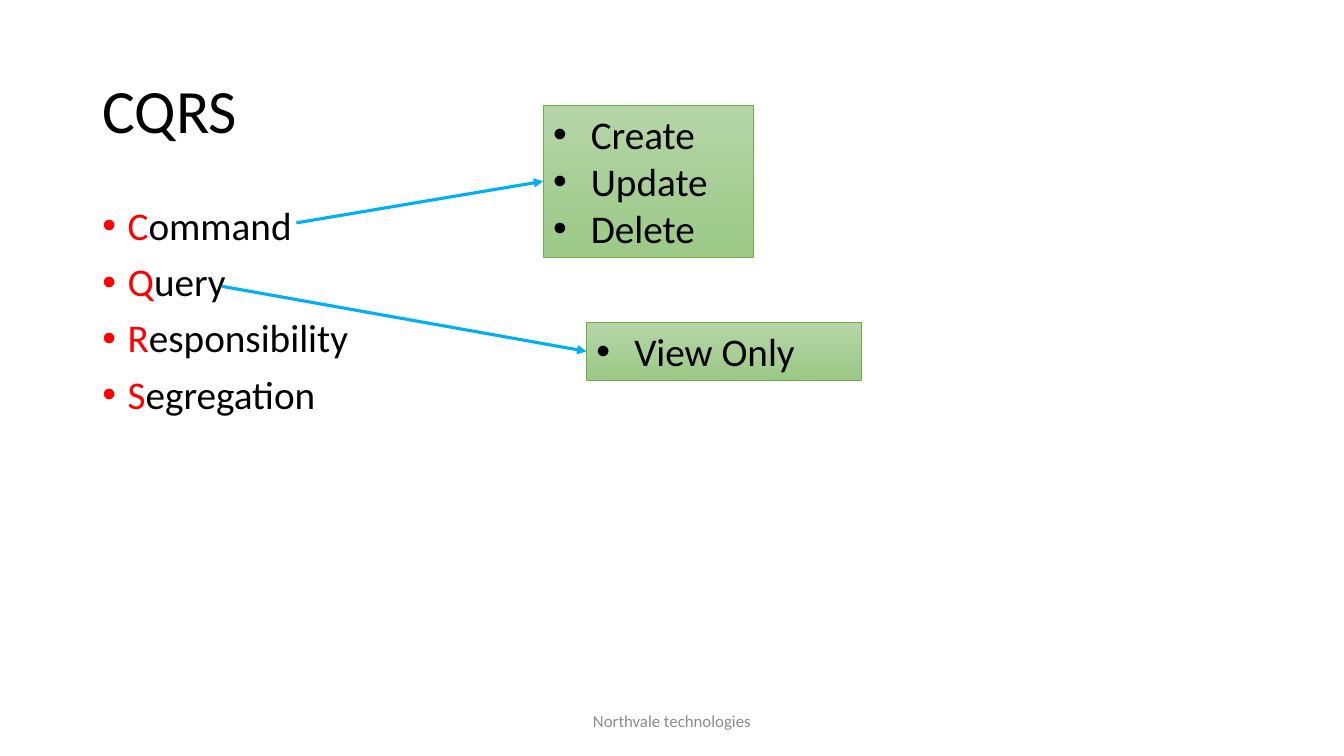
import pptx
import pptx.dml.color
import pptx.enum.shapes
import pptx.enum.text
import pptx.oxml.ns
import pptx.util
from lxml import etree

Pt = pptx.util.Pt
qn = pptx.oxml.ns.qn
RGBColor = pptx.dml.color.RGBColor
PP_ALIGN = pptx.enum.text.PP_ALIGN
MSO_ANCHOR = pptx.enum.text.MSO_ANCHOR
MSO_AUTO_SIZE = pptx.enum.text.MSO_AUTO_SIZE

BLACK = RGBColor(0x00, 0x00, 0x00)
RED = RGBColor(0xFF, 0x00, 0x00)
GREY = RGBColor(0x8C, 0x8C, 0x8C)
BLUE = RGBColor(0x00, 0xB0, 0xF0)
GREEN = RGBColor(0x70, 0xAD, 0x47)
GREEN_TOP = RGBColor(0xB5, 0xD5, 0xA7)
GREEN_BOTTOM = RGBColor(0x9C, 0xC9, 0x87)
FONT = "Calibri"


def place(sp, box):
    """Move a shape to a box of left, top, width and height in points."""
    sp.left, sp.top, sp.width, sp.height = (Pt(v) for v in box)


def style(font, size, color):
    """Set the face, size and colour of a font."""
    font.name, font.size, font.color.rgb = FONT, Pt(size), color


def add_bullet(p, indent):
    """Give a paragraph a round bullet with a hanging indent in points."""
    pPr = p._p.get_or_add_pPr()
    pPr.set("marL", str(Pt(indent)))
    pPr.set("indent", str(-Pt(indent)))
    etree.SubElement(pPr, qn("a:buFont"), typeface="Arial")
    etree.SubElement(pPr, qn("a:buChar"), char="•")


def add_title(s, box, text):
    """Fill the title placeholder."""
    sp = s.shapes.title
    place(sp, box)
    tf = sp.text_frame
    tf.text = text
    tf.auto_size = MSO_AUTO_SIZE.NONE
    tf.vertical_anchor = MSO_ANCHOR.MIDDLE
    p = tf.paragraphs[0]
    p.alignment = PP_ALIGN.LEFT
    p.line_spacing = 0.9
    style(p.runs[0].font, 44, BLACK)


def add_acronym_list(s, box, words):
    """List words with red initials in the body placeholder."""
    sp = s.placeholders[1]
    place(sp, box)
    tf = sp.text_frame
    tf.auto_size = MSO_AUTO_SIZE.NONE
    for i, word in enumerate(words):
        p = tf.add_paragraph() if i else tf.paragraphs[0]
        add_bullet(p, 18)
        p.line_spacing = 0.9
        p.space_before = Pt(10 if i else 0)
        for text, color in ((word[0], RED), (word[1:], BLACK)):
            r = p.add_run()
            r.text = text
            style(r.font, 28, color)


def add_action_box(s, box, actions):
    """Draw a green box of bulleted actions."""
    sp = s.shapes.add_shape(pptx.enum.shapes.MSO_SHAPE.RECTANGLE, 0, 0, 0, 0)
    place(sp, box)
    sp.shadow.inherit = False
    sp.fill.gradient()
    sp.fill.gradient_angle = 270
    for stop, color in zip(sp.fill.gradient_stops, (GREEN_TOP, GREEN_BOTTOM)):
        stop.color.rgb = color
    sp.line.color.rgb = GREEN
    sp.line.width = Pt(0.5)
    tf = sp.text_frame
    tf.text = "\n".join(actions)
    tf.word_wrap = True
    tf.vertical_anchor = MSO_ANCHOR.TOP
    for p in tf.paragraphs:
        p.alignment = PP_ALIGN.LEFT
        add_bullet(p, 27)
        style(p.runs[0].font, 28, BLACK)


def add_arrow(s, start, box):
    """Draw an arrow from a point to the middle of a box's left side."""
    left, top, _, height = box
    ends = (*start, left, top + height / 2)
    c = s.shapes.add_connector(
        pptx.enum.shapes.MSO_CONNECTOR.STRAIGHT, *(Pt(v) for v in ends))
    c.line.color.rgb = BLUE
    c.line.width = Pt(2.25)
    spPr = c.element.spPr
    etree.SubElement(spPr.find(qn("a:ln")), qn("a:tailEnd"), type="triangle")
    etree.SubElement(spPr, qn("a:effectLst"))


def add_footer(s, box, text):
    """Write the centred grey footer."""
    sp = s.shapes.add_textbox(*(Pt(v) for v in box))
    tf = sp.text_frame
    tf.text = text
    tf.word_wrap = True
    tf.vertical_anchor = MSO_ANCHOR.MIDDLE
    p = tf.paragraphs[0]
    p.alignment = PP_ALIGN.CENTER
    style(p.runs[0].font, 12, GREY)


def main():
    """Build the CQRS slide."""
    prs = pptx.Presentation()
    prs.slide_width, prs.slide_height = Pt(960), Pt(540)
    s = prs.slides.add_slide(prs.slide_layouts[1])
    add_title(s, (66, 28.8, 828, 104.4), "CQRS")
    add_acronym_list(s, (66, 143.8, 828, 342.6),
                     ("Command", "Query", "Responsibility", "Segregation"))
    add_footer(s, (318, 500.5, 324, 28.8), "Northvale technologies")
    for start, box, actions in (
        ((211.7, 159.2), (388, 75, 150, 109), ("Create", "Update", "Delete")),
        ((158.4, 204.5), (419, 230.4, 196.6, 41.2), ("View Only",)),
    ):
        add_action_box(s, box, actions)
        add_arrow(s, start, box)
    prs.save("out.pptx")


if __name__ == "__main__":
    main()
